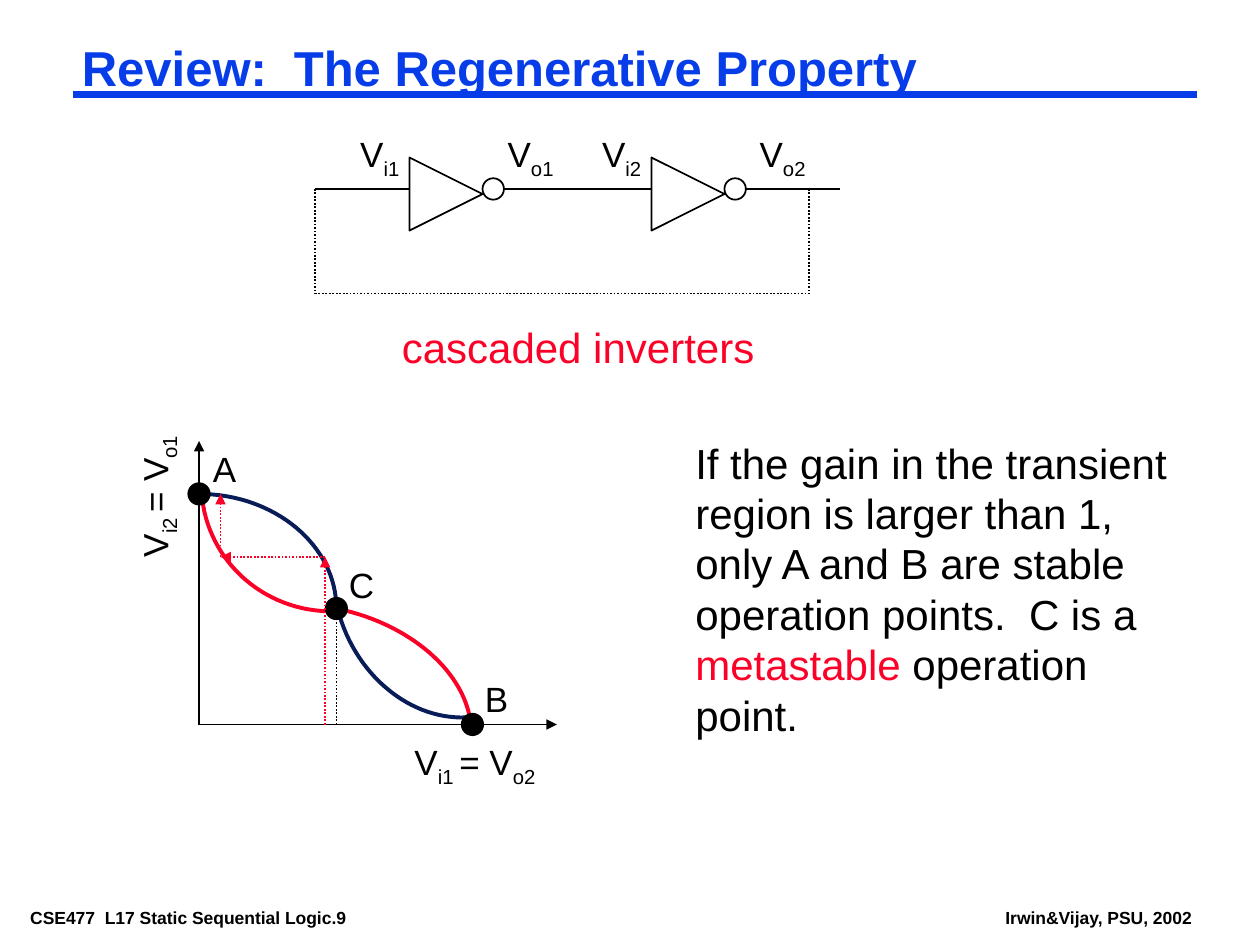
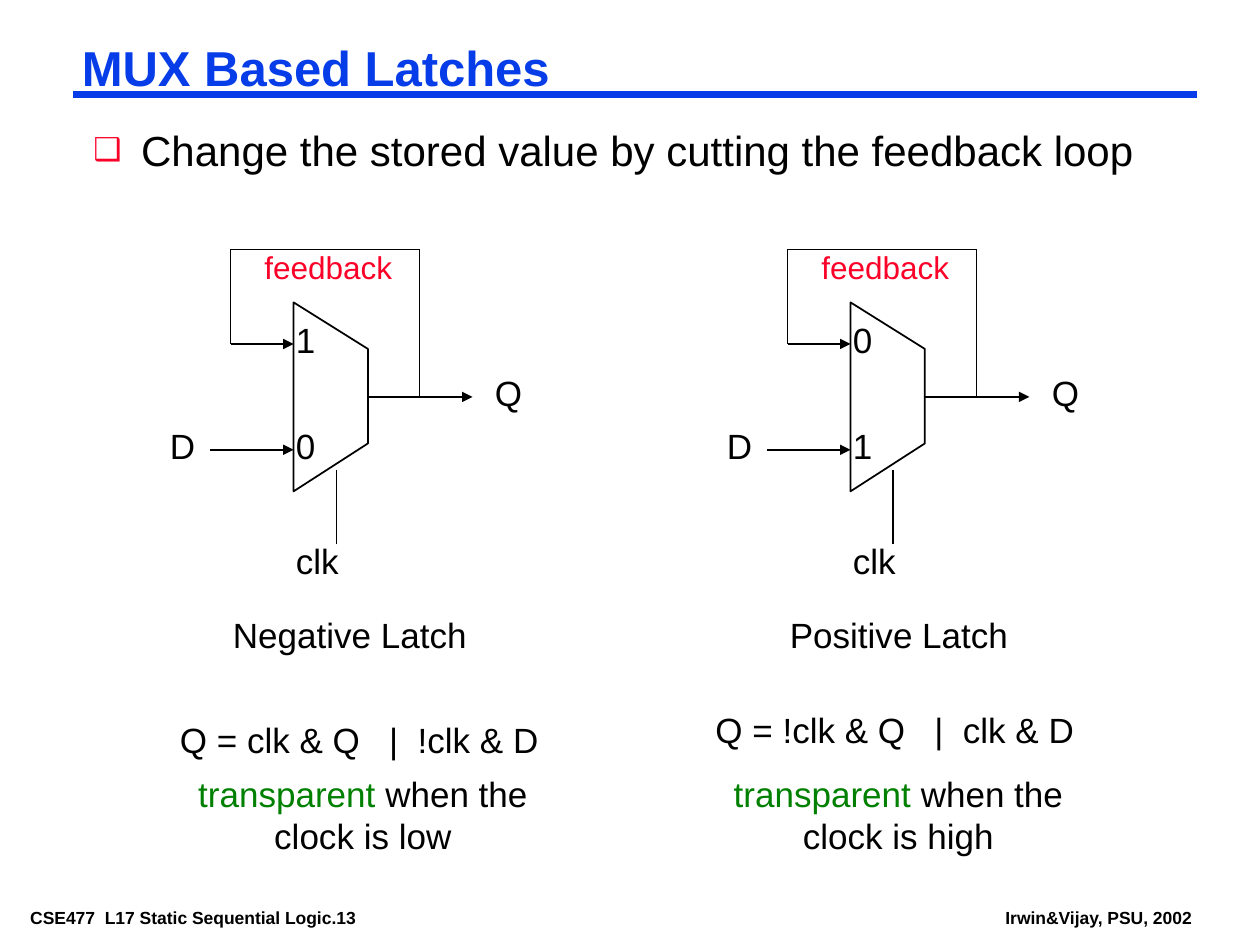
from lxml import etree
from pptx import Presentation
from pptx.dml.color import RGBColor
from pptx.enum.dml import MSO_LINE
from pptx.enum.shapes import MSO_CONNECTOR, MSO_SHAPE
from pptx.enum.text import MSO_ANCHOR, MSO_AUTO_SIZE, PP_ALIGN
from pptx.oxml import parse_xml
from pptx.oxml.ns import nsdecls, qn
from pptx.util import Inches, Pt

FONT = "Arial"
BLACK, BLUE, NAVY, RED, GREEN = "000000", "063DE8", "081D58", "FC0128", "008000"
TITLE_ONLY, TITLE_AND_BODY = 5, 1
DOT = 0.17


# Shared helpers
def rgb(color):
    return RGBColor.from_string(color)


def set_font(font, size, color=BLACK, bold=False):
    font.name, font.size, font.bold = FONT, Pt(size), bold
    font.color.rgb = rgb(color)


def set_frame(tf, wrap, inset_x=0.1, inset_y=0.05):
    tf.word_wrap = wrap
    tf.auto_size = MSO_AUTO_SIZE.SHAPE_TO_FIT_TEXT
    tf.vertical_anchor = MSO_ANCHOR.TOP
    tf.margin_left = tf.margin_right = Inches(inset_x)
    tf.margin_top = tf.margin_bottom = Inches(inset_y)


def place(sp, x, y, w, h):
    sp.left, sp.top, sp.width, sp.height = (Inches(v) for v in (x, y, w, h))


def text(s, x, y, w, h, *parts, size=20, color=BLACK, wrap=False, align=None):
    """Each part is a string, or a pair of a string and a colour or "sub"."""
    sp = s.shapes.add_textbox(Inches(x), Inches(y), Inches(w), Inches(h))
    set_frame(sp.text_frame, wrap)
    p = sp.text_frame.paragraphs[0]
    p.alignment = align
    set_font(p.font, size, color)
    for part in parts:
        content, style = (part, None) if isinstance(part, str) else part
        r = p.add_run()
        r.text = content
        if style == "sub":
            r.font.size = Pt(size)
            r._r.get_or_add_rPr().set("baseline", "-25000")
        elif style:
            r.font.color.rgb = rgb(style)
    return sp


def line(s, x1, y1, x2, y2, color=BLACK, width=1, arrow=False, dotted=False):
    c = s.shapes.add_connector(
        MSO_CONNECTOR.STRAIGHT, Inches(x1), Inches(y1), Inches(x2), Inches(y2))
    c.line.color.rgb, c.line.width = rgb(color), Pt(width)
    if dotted:
        c.line.dash_style = MSO_LINE.ROUND_DOT
    if arrow:
        etree.SubElement(c.line._get_or_add_ln(), qn("a:tailEnd"), type="triangle")
    etree.SubElement(c._element.spPr, qn("a:effectLst"))


def outline(sp, color=BLACK, width=1, fill=None):
    sp.shadow.inherit = False
    sp.line.color.rgb, sp.line.width = rgb(color), Pt(width)
    if fill:
        sp.fill.solid()
        sp.fill.fore_color.rgb = rgb(fill)
    else:
        sp.fill.background()


def preset(s, kind, x, y, size, fill=None, rotation=0):
    sp = s.shapes.add_shape(kind, Inches(x), Inches(y), Inches(size), Inches(size))
    sp.rotation = rotation
    outline(sp, fill=fill)


def freeform(s, points, close, color=BLACK, width=1):
    points = [(Inches(x), Inches(y)) for x, y in points]
    fb = s.shapes.build_freeform(*points[0])
    fb.add_line_segments(points[1:], close=close)
    outline(fb.convert_to_shape(), color, width)


def bezier(points, steps=32):
    def at(t):
        weights = ((1 - t) ** 3, 3 * t * (1 - t) ** 2, 3 * t * t * (1 - t), t ** 3)
        return tuple(sum(k * pt[axis] for k, pt in zip(weights, points)) for axis in (0, 1))
    return [at(i / steps) for i in range(steps + 1)]


# Title, rule and footers
def new_slide(prs, layout, title, number):
    s = prs.slides.add_slide(prs.slide_layouts[layout])
    place(s.shapes.title, 0.58, 0.33, 8.92, 0.46)
    tf = s.shapes.title.text_frame
    tf.text = title
    set_frame(tf, True, 0.07, 0.03)
    p = tf.paragraphs[0]
    p.alignment, p.line_spacing = PP_ALIGN.LEFT, 0.87
    set_font(p.font, 28, BLUE, True)
    line(s, 0.58, 0.75, 9.5, 0.75, BLUE, 4.5)
    footers = ((0.17, 3.24, f"CSE477  L17 Static Sequential Logic.{number}"),
               (7.91, 1.7, "Irwin&Vijay, PSU, 2002"))
    for x, w, content in footers:
        sp = text(s, x, 7.17, w, 0.22, content, size=10)
        set_frame(sp.text_frame, False, 0.07, 0.03)
        sp.text_frame.paragraphs[0].font.bold = True
    return s


# Two inverters in a loop
def inverter_loop(s, x, y):
    wire = y + 0.5
    for gate_x in (x + 0.75, x + 2.67):
        preset(s, MSO_SHAPE.ISOSCELES_TRIANGLE, gate_x, y + 0.25, 0.58, rotation=90)
        preset(s, MSO_SHAPE.OVAL, gate_x + 0.58, wire - DOT / 2, DOT)
    for start, end in ((0, 0.75), (1.5, 2.67), (3.42, 4.17)):
        line(s, x + start, wire, x + end, wire)
    right, bottom = x + 3.92, y + 1.33
    line(s, x, wire, x, bottom, dotted=True)
    line(s, x, bottom, right, bottom, dotted=True)
    line(s, right, wire, right, bottom, dotted=True)
    for dx, name in ((0.26, "i1"), (1.43, "o1"), (2.18, "i2"), (3.43, "o2")):
        text(s, x + dx, y, 0.62, 0.48, "V", (name, "sub"))
    text(s, x + 0.59, y + 1.5, 3.05, 0.5, "cascaded inverters", size=24, color=RED)


# Transfer curves with operating points
def transfer_plot(s, x, y):
    base = y + 2.25
    line(s, x, base, x, y, arrow=True)
    line(s, x, base, x + 2.84, base, arrow=True)
    curves = (
        (NAVY, ((0, 0.42), (0.6, 0.42), (1.09, 0.83), (1.09, 1.33))),
        (NAVY, ((1.09, 1.29), (1.21, 1.84), (1.68, 2.24), (2.17, 2.19))),
        (RED, ((0.02, 0.41), (0.06, 0.97), (0.55, 1.39), (1.13, 1.35))),
        (RED, ((1.04, 1.32), (1.66, 1.43), (2.14, 1.84), (2.16, 2.29))),
    )
    for color, controls in curves:
        points = bezier([(x + dx, y + dy) for dx, dy in controls])
        freeform(s, points, False, color, 2.25)

    line(s, x + 1.09, base, x + 1.09, y + 1.33, arrow=True, dotted=True)
    operating_points = (("A", 0, 0.42, 0.01, 0), ("B", 2.17, 2.25, 2.17, 1.83),
                        ("C", 1.09, 1.33, 1.09, 0.92))
    for name, dx, dy, label_x, label_y in operating_points:
        preset(s, MSO_SHAPE.OVAL, x + dx - DOT / 2, y + dy - DOT / 2, DOT, BLACK)
        text(s, x + label_x, y + label_y, 0.45, 0.44, name)

    trace = ((1, 2.25), (1, 0.92), (0.17, 0.92), (0.17, 0.42))
    for (x1, y1), (x2, y2) in zip(trace, trace[1:]):
        line(s, x + x1, y + y1, x + x2, y + y2, RED, arrow=True, dotted=True)

    for dx, dy, first, second, rotation in ((1.61, 2.33, "i1 ", "o2", 0),
                                            (-0.92, 0.19, "i2 ", "o1", 270)):
        sp = text(s, x + dx, y + dy, 1.18, 0.48,
                  "V", (first, "sub"), "= V", (second, "sub"))
        sp.rotation = rotation


def regenerative_slide(prs):
    s = new_slide(prs, TITLE_ONLY, "Review:  The Regenerative Property", 9)
    inverter_loop(s, 2.5, 1)
    transfer_plot(s, 1.58, 3.5)
    text(s, 5.42, 3.42, 4.08, 2.5,
         "If the gain in the transient region is larger than 1, only A and B "
         "are stable operation points.  C is a ",
         ("metastable", RED), " operation point.", size=24, wrap=True)


# Bulleted statement in the body placeholder
def bullet_body(s, content):
    sp = s.placeholders[1]
    place(sp, 0.67, 1, 8.92, 0.42)
    tf = sp.text_frame
    tf.text = content
    set_frame(tf, True, 0.07, 0.03)
    p = tf.paragraphs[0]
    p.line_spacing, p.space_before = 0.9, Pt(19.5)
    set_font(p.font, 24)
    pPr = p._p.get_or_add_pPr()
    pPr.set("marL", str(Inches(0.38)))
    pPr.set("indent", str(-Inches(0.38)))
    bullet = (f'<a:buClr {nsdecls("a")}><a:srgbClr val="{RED}"/></a:buClr>',
              f'<a:buSzPct {nsdecls("a")} val="75000"/>',
              f'<a:buFont {nsdecls("a")} typeface="{FONT}"/>',
              f'<a:buChar {nsdecls("a")} char="❑"/>')
    spacing = pPr.find(qn("a:spcBef"))
    for xml in reversed(bullet):
        spacing.addnext(parse_xml(xml))


# Multiplexer with its output fed back
def latch(s, x, y, name, upper, lower):
    corners = ((1.08, 1.92), (1.08, 0.42), (1.67, 0.79), (1.67, 1.54))
    freeform(s, [(x + dx, y + dy) for dx, dy in corners], True)
    arrows = ((0.42, 1.59, 1.08, 1.59), (0.58, 0.75, 1.08, 0.75), (1.67, 1.17, 2.5, 1.17))
    wires = ((2.08, 1.17, 2.08, 0), (0.58, 0.75, 0.58, 0),
             (2.08, 0, 0.58, 0), (1.42, 2.34, 1.42, 1.75))
    for x1, y1, x2, y2 in arrows + wires:
        line(s, x + x1, y + y1, x + x2, y + y2, arrow=(x1, y1, x2, y2) in arrows)
    labels = ((2.58, 0.92, 0.45, "Q"), (0, 1.34, 0.45, "D"), (1, 2.25, 0.6, "clk"),
              (1, 0.5, 0.4, upper), (1, 1.34, 0.4, lower), (0.5, 2.84, 2.15, name))
    for dx, dy, w, content in labels:
        text(s, x + dx, y + dy, w, 0.44, content)
    text(s, x + 0.75, y - 0.06, 1.3, 0.4, "feedback", size=18, color=RED)


# Latch equation and its transparent phase
def latch_behaviour(s, x, y, equation, equation_y, level):
    text(s, x + 0.16, equation_y, 3.15, 0.44, equation)
    text(s, x, y, 3.42, 0.77, ("transparent", GREEN), f" when the clock is {level}",
         wrap=True, align=PP_ALIGN.CENTER)


def latches_slide(prs):
    s = new_slide(prs, TITLE_AND_BODY, "MUX Based Latches", 13)
    bullet_body(s, "Change the stored value by cutting the feedback loop")
    latch(s, 1.25, 1.98, "Negative Latch", "1", "0")
    latch(s, 5.67, 1.98, "Positive Latch", "0", "1")
    latch_behaviour(s, 1.17, 6.08, "Q = clk & Q   |  !clk & D", 5.65, "low")
    latch_behaviour(s, 5.42, 6.08, "Q = !clk & Q   |  clk & D", 5.57, "high")


def main():
    prs = Presentation()
    prs.slide_width, prs.slide_height = Inches(10), Inches(7.5)
    regenerative_slide(prs)
    latches_slide(prs)
    prs.save("out.pptx")


if __name__ == "__main__":
    main()
